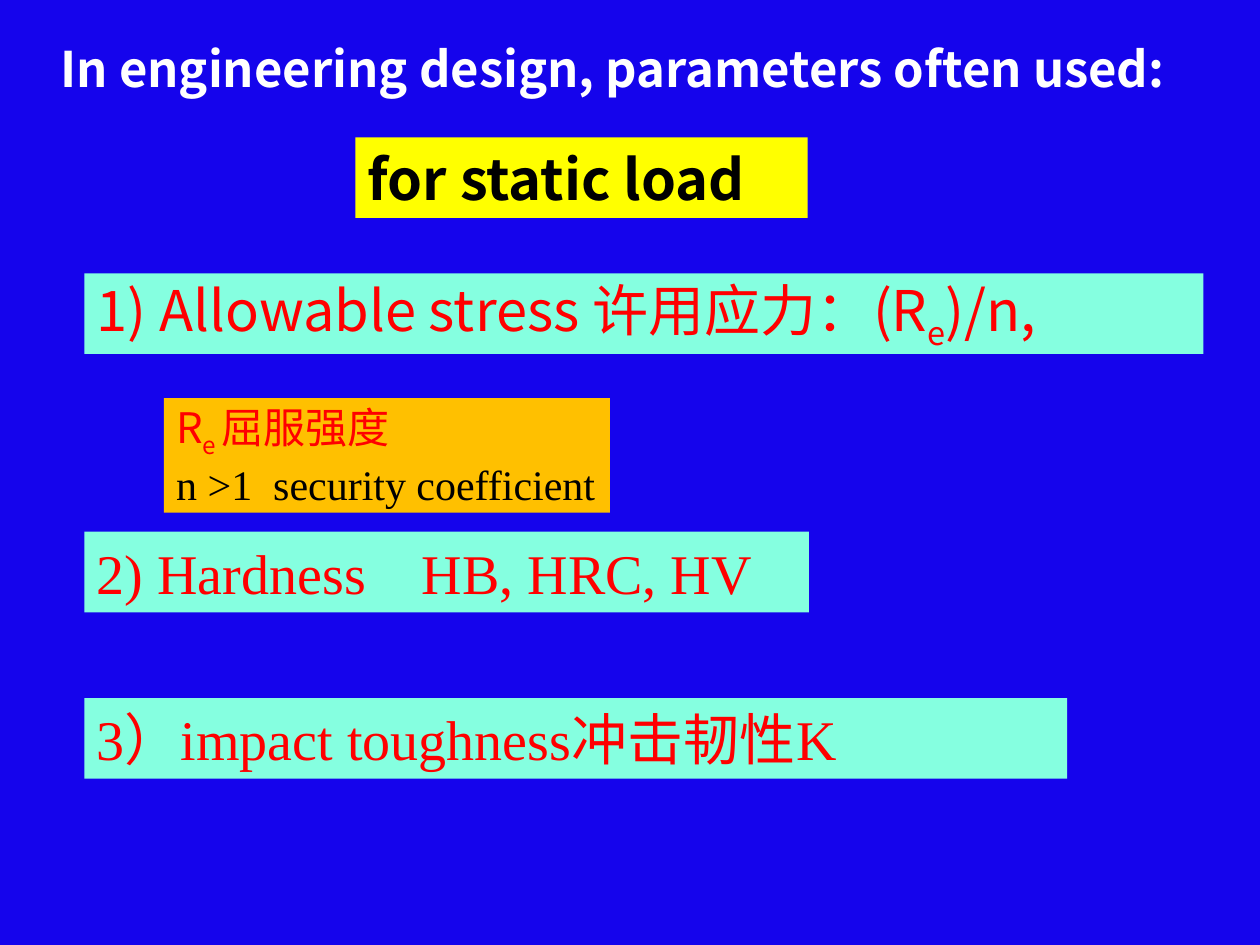
from dataclasses import dataclass
from typing import Any

from lxml import etree
from pptx import Presentation
from pptx.dml.color import RGBColor
from pptx.enum.shapes import MSO_SHAPE
from pptx.enum.text import MSO_ANCHOR, MSO_AUTO_SIZE, PP_ALIGN
from pptx.oxml.ns import qn
from pptx.util import Inches, Pt

RECT = MSO_SHAPE.RECTANGLE
MIDDLE = MSO_ANCHOR.MIDDLE
FIXED = MSO_AUTO_SIZE.NONE
LEFT = PP_ALIGN.LEFT


@dataclass(frozen=True)
class Theme:
    back: str = "1504EC"
    white: str = "FFFFFF"
    black: str = "000000"
    red: str = "FF0000"
    aqua: str = "85FFE0"
    gold: str = "FFC000"
    yellow: str = "FFFF00"
    sans: str = "Noto Sans CJK SC"
    serif: str = "Times New Roman"
    head: int = 28
    main: int = 32
    note: int = 24


THEME = Theme()


@dataclass(frozen=True)
class Line:
    words: tuple[str, ...]
    face: str
    size: int
    color: str = THEME.red
    bold: bool = False
    tab: float = 0


@dataclass(frozen=True)
class Panel:
    left: float
    top: float
    width: float
    height: float
    fill: str
    lines: tuple[Line, ...]


ROW = {"height": 0.64}
ITEM = ROW | {"left": 0.67, "fill": THEME.aqua}

PANELS = (
    Panel(1.3, 3.16, 3.54, 0.91, THEME.gold, (
        Line(("R", "e ", "屈服强度"), THEME.sans, THEME.note),
        Line(("n >1\tsecurity coefficient",), THEME.serif, THEME.note,
             THEME.black, tab=0.77),
    )),
    Panel(top=2.17, width=8.88, **ITEM, lines=(
        Line(("1) Allowable stress 许用应力：(R", "e", ")/n,"),
             THEME.sans, THEME.main),
    )),
    Panel(2.82, 1.09, 3.59, fill=THEME.yellow, **ROW, lines=(
        Line(("for static load",), THEME.sans, THEME.main, THEME.black, True),
    )),
    Panel(top=5.54, width=7.8, **ITEM, lines=(
        Line(("3）impact toughness冲击韧性K",), THEME.serif, THEME.main),
    )),
    Panel(top=4.22, width=5.75, **ITEM, lines=(
        Line(("2) Hardness\tHB, HRC, HV",), THEME.serif, THEME.main, tab=2.58),
    )),
)


def apply(target: Any, values: dict[str, Any]) -> None:
    for name, value in values.items():
        setattr(target, name, value)


def set_tab(para: Any, place: float) -> None:
    stops = etree.SubElement(para._p.get_or_add_pPr(), qn("a:tabLst"))
    etree.SubElement(stops, qn("a:tab"), pos=str(Inches(place)), algn="l")


def write(shape: Any, lines: tuple[Line, ...]) -> None:
    frame = shape.text_frame
    apply(frame, {"word_wrap": True, "auto_size": FIXED,
                  "vertical_anchor": MIDDLE})
    for index, line in enumerate(lines):
        para = frame.add_paragraph() if index else frame.paragraphs[0]
        para.alignment = LEFT
        if line.tab:
            set_tab(para, line.tab)
        for order, text in enumerate(line.words):
            run = para.add_run()
            run.text = text
            apply(run.font, {"name": line.face, "size": Pt(line.size),
                             "bold": line.bold})
            run.font.color.rgb = RGBColor.from_string(line.color)
            if order == 1:
                run._r.get_or_add_rPr().set("baseline", "-25000")


def draw(slide: Any, panel: Panel) -> None:
    shape = slide.shapes.add_shape(
        RECT, Inches(panel.left), Inches(panel.top),
        Inches(panel.width), Inches(panel.height))
    shape.shadow.inherit = False
    shape.fill.solid()
    shape.fill.fore_color.rgb = RGBColor.from_string(panel.fill)
    shape.line.fill.background()
    write(shape, panel.lines)


def main() -> None:
    deck = Presentation()
    apply(deck, {"slide_width": Inches(10), "slide_height": Inches(7.5)})
    slide = deck.slides.add_slide(deck.slide_layouts[5])
    slide.background.fill.solid()
    slide.background.fill.fore_color.rgb = RGBColor.from_string(THEME.back)
    title = slide.shapes.title
    apply(title, {"left": Inches(0.38), "top": Inches(0.25),
                  "width": Inches(9.51), "height": Inches(0.57)})
    write(title, (Line(("In engineering design, parameters often used:",),
                       THEME.sans, THEME.head, THEME.white, True),))
    for panel in PANELS:
        draw(slide, panel)
    deck.save("out.pptx")


if __name__ == "__main__":
    main()
